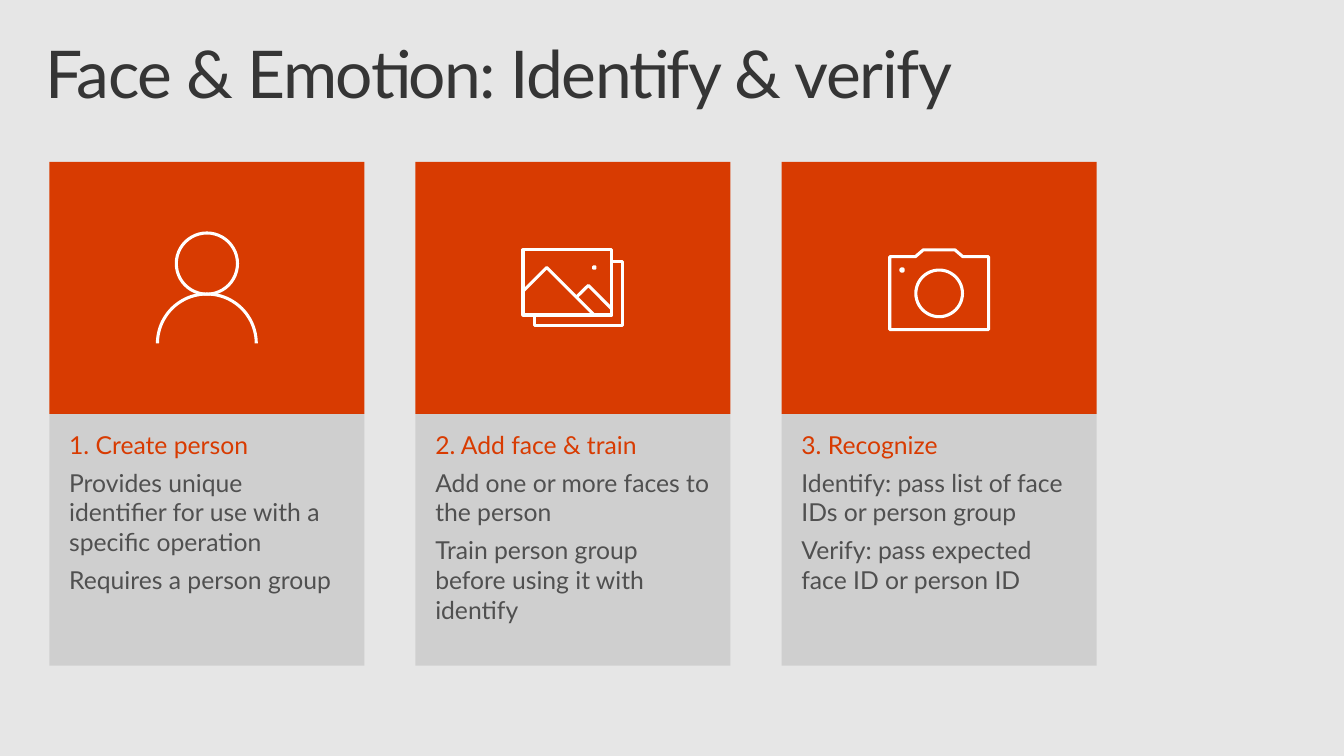
from math import cos, pi, sin

from lxml import etree
from pptx import Presentation
from pptx.dml.color import RGBColor
from pptx.enum.shapes import MSO_SHAPE
from pptx.enum.text import MSO_ANCHOR, MSO_AUTO_SIZE, PP_ALIGN
from pptx.oxml.ns import qn
from pptx.util import Pt

RECT, OVAL, DIAMOND = MSO_SHAPE.RECTANGLE, MSO_SHAPE.OVAL, MSO_SHAPE.DIAMOND
TOP, LEFT, FIXED = MSO_ANCHOR.TOP, PP_ALIGN.LEFT, MSO_AUTO_SIZE.NONE

FONT = "Lato"
ORANGE, DARK, GREY, WHITE, PAPER = "D83B01", "353535", "505050", "FFFFFF", "E6E6E6"
CARD_X, CARD_Y, CARD_W, TILE_H, STEP = 36, 118, 229.5, 181.5 + 2, 266.75

CARDS = [
    ("1. Create person",
     "Provides unique identifier for use with a specific operation",
     "Requires a person group"),
    ("2. Add face & train",
     "Add one or more faces to the person",
     "Train person group before using it with identify"),
    ("3. Recognize",
     "Identify: pass list of face IDs or person group",
     "Verify: pass expected face ID or person ID"),
]

# Each icon: strokes, then round or diamond marks (kind, x, y, radius), from the tile centre
ARC = [(36 * cos(pi * k / 48), 40.5 - 36 * sin(pi * k / 48)) for k in range(49)]
PERSON = ([ARC], [(OVAL, 0, -17.7, 22.3)])
PHOTOS = ([
    [(-36.4, -27.7), (28.4, -27.7), (28.4, 19.8), (-36.4, 19.8), (-36.4, -27.7)],
    [(15.5, 19.8), (-19.1, -14.8), (-36.4, 2.5)],
    [(28.4, 15.5), (11.2, -1.8), (2.5, 6.8)],
    [(-27.7, 19.8), (-27.7, 27.7), (36.4, 27.7), (36.4, -19.1), (28.4, -19.1)],
], [(DIAMOND, 15.5, -14.8, 0.8)])
CAMERA = ([
    [(-36, -22.7), (-17.3, -22.7), (-11.5, -27.7), (11.5, -27.7), (17.3, -22.7),
     (36, -22.7), (36, 30.4), (-36, 30.4), (-36, -22.7)],
], [(OVAL, 0, 4, 17), (DIAMOND, -27, -13, 1.1)])


def paint(color, code):
    color.rgb = RGBColor.from_string(code)


class Deck:
    def __init__(self):
        self.prs = Presentation()
        self.prs.slide_width, self.prs.slide_height = Pt(979.2), Pt(550.8)
        self.slide = self.prs.slides.add_slide(self.prs.slide_layouts[5])
        self.fill(self.slide.background, PAPER)
        self.shapes = self.slide.shapes

    def fill(self, item, code):
        item.fill.solid()
        paint(item.fill.fore_color, code)

    def frame(self, shape, dx, dy):
        text = shape.text_frame
        text.word_wrap, text.auto_size, text.vertical_anchor = True, FIXED, TOP
        text.margin_left = text.margin_right = Pt(dx)
        text.margin_top = text.margin_bottom = Pt(dy)
        return text

    def style(self, para, size, code):
        para.alignment = LEFT
        font = para.runs[0].font
        font.name, font.size = FONT, Pt(size)
        paint(font.color, code)

    def title(self, words):
        shape = self.slide.shapes.title
        shape.left, shape.top, shape.width, shape.height = map(Pt, (21.6, 23, 936, 72))
        text = self.frame(shape, 11.5, 7.2)
        text.text = words
        para = text.paragraphs[0]
        para.line_spacing = 0.9
        self.style(para, 48, DARK)
        para.runs[0].font._element.set("spc", "-100")

    def group(self):
        """Send the following elements into a new group."""
        self.shapes = self.slide.shapes.add_group_shape().shapes

    def rect(self, x, y, w, h, code, alpha=None):
        shape = self.shapes.add_shape(RECT, Pt(x), Pt(y), Pt(w), Pt(h))
        shape.shadow.inherit = False
        shape.line.fill.background()
        self.fill(shape, code)
        if alpha:
            tint = shape.fill._xPr.find(".//" + qn("a:srgbClr"))
            etree.SubElement(tint, qn("a:alpha")).set("val", str(alpha * 1000))
        return shape

    def panel(self, x, y, lines):
        shape = self.rect(x, y, CARD_W, TILE_H, DARK, 13)
        text = self.frame(shape, 14.4, 11.5)
        text.text = "\n".join(lines)
        for i, para in enumerate(text.paragraphs):
            self.style(para, 18, GREY if i else ORANGE)
            if i:
                para.space_before = Pt(6)

    def trace(self, shape):
        shape.shadow.inherit = False
        shape.fill.background()
        shape.line.width = Pt(2.25)
        paint(shape.line.color, WHITE)

    def icon(self, cx, cy, strokes, marks):
        lines = [[(Pt(cx + x), Pt(cy + y)) for x, y in s] for s in strokes]
        pen = self.shapes.build_freeform(*lines[0][0])
        for i, line in enumerate(lines):
            if i:
                pen.move_to(*line[0])
            pen.add_line_segments(line[1:], close=False)
        self.trace(pen.convert_to_shape())
        for kind, x, y, r in marks:
            self.trace(self.shapes.add_shape(
                kind, Pt(cx + x - r), Pt(cy + y - r), Pt(2 * r), Pt(2 * r)))


def main():
    deck = Deck()
    deck.title("Face & Emotion: Identify & verify")
    for i, (lines, icon) in enumerate(zip(CARDS, (PERSON, PHOTOS, CAMERA))):
        x = CARD_X + i * STEP
        deck.group()
        deck.rect(x, CARD_Y, CARD_W, TILE_H, ORANGE)
        deck.panel(x, CARD_Y + TILE_H, lines)
        deck.icon(x + CARD_W / 2, CARD_Y + TILE_H / 2, *icon)
    deck.prs.save("out.pptx")


if __name__ == "__main__":
    main()
